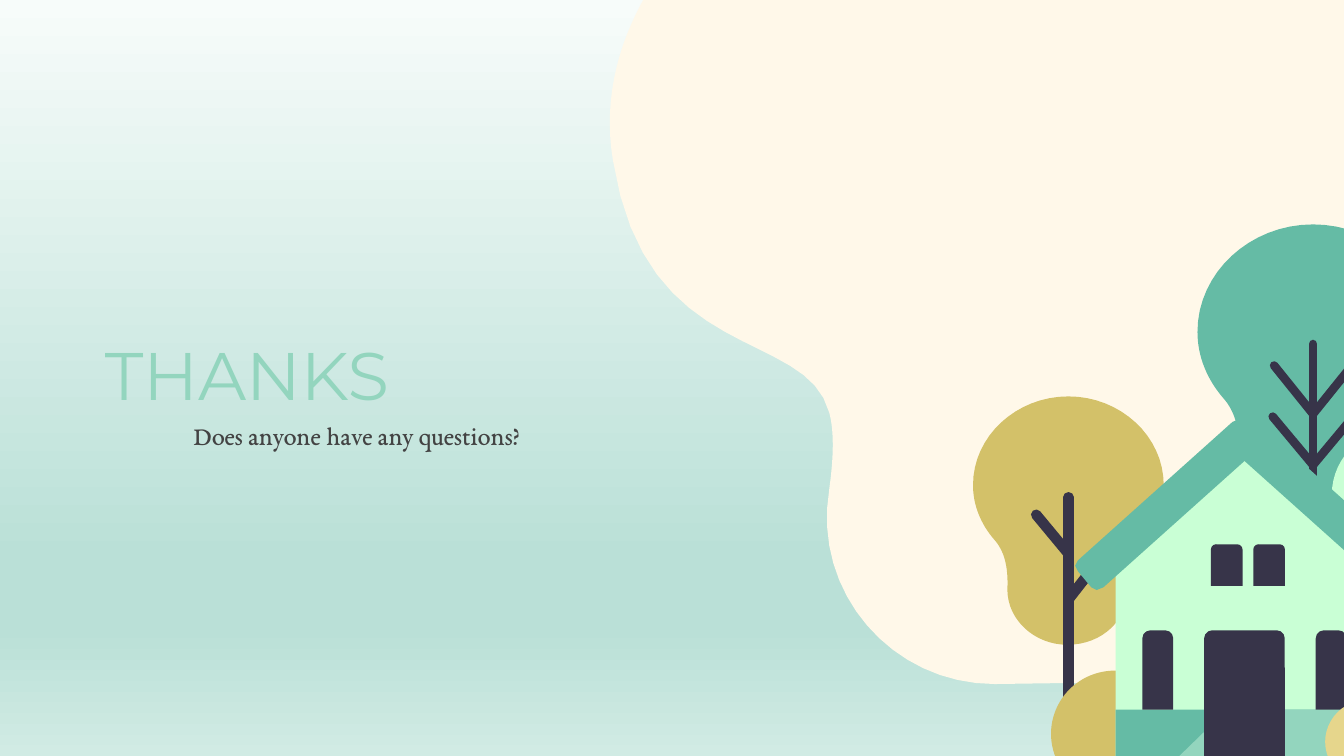
from dataclasses import dataclass

import lxml.etree
import pptx
import pptx.dml.color
import pptx.enum.shapes
import pptx.enum.text
import pptx.oxml.ns
import pptx.slide
import pptx.util

Pt = pptx.util.Pt
RGBColor = pptx.dml.color.RGBColor
Align = pptx.enum.text.PP_ALIGN
Anchor = pptx.enum.text.MSO_ANCHOR
Preset = pptx.enum.shapes.MSO_SHAPE
qn = pptx.oxml.ns.qn

CREAM = RGBColor(0xFF, 0xF8, 0xE9)
MUSTARD = RGBColor(0xD3, 0xC1, 0x69)
STRAW = RGBColor(0xE6, 0xD6, 0x8C)
NIGHT = RGBColor(0x37, 0x34, 0x49)
TEAL = RGBColor(0x65, 0xBB, 0xA5)
AQUA = RGBColor(0x93, 0xD5, 0xBE)
MINT = RGBColor(0xC9, 0xFF, 0xD5)
GREY = RGBColor(0x43, 0x43, 0x43)
SKY_EDGE = RGBColor(0xF7, 0xFC, 0xFA)
SKY_DEEP = RGBColor(0xBA, 0xE0, 0xD7)
SKY_LOW = RGBColor(0xD1, 0xEB, 0xE4)
SKY = [(0, SKY_EDGE), (74, SKY_DEEP), (83, SKY_DEEP), (100, SKY_LOW)]

GRID = Pt(0.72)  # the drawing uses a grid of 1000 by 562.5 units
CURVE_STEPS = 16
AXIS = 926  # middle of the house
Steps = list[tuple[float, ...]]


@dataclass
class Branch:
    """Reach is measured from the trunk, negative to the left."""
    reach: float
    tip: float
    joint: float


@dataclass
class Tree:
    left: float
    top: float
    scale: float
    color: RGBColor
    trunk: tuple[float, float, float] | None = None  # x, top, bottom
    thickness: float = 0
    branches: tuple[Branch, ...] = ()


@dataclass
class Block:
    preset: Preset
    left: float
    top: float
    width: float
    height: float
    color: RGBColor = NIGHT
    rounding: float | None = None


@dataclass
class TextSlot:
    words: str
    top: float
    left: float
    width: float
    anchor: Anchor
    align: Align
    font: str
    size: float
    color: RGBColor


# Outlines: a start, then lines (x, y) and Bezier curves (x1, y1, x2, y2, x, y)
BLOB = [(485, -11), (462, 26, 448, 70, 456, 119), (480, 273, 600, 243, 617, 307),
        (621, 322, 620, 342, 617, 364), (604, 441, 664, 509, 740, 509), (809, 508),
        (882, 510), (956, 517, 929, 631, 1071, 667), (1104, 667), (1104, -11)]
CROWN = [(86, 0), (39, 0, 0, 36, 0, 80), (0, 98, 7, 115, 19, 129),
         (28, 139, 32, 153, 31, 174), (31, 202, 56, 224, 85, 224),
         (117, 224, 140, 201, 140, 173), (140, 154, 144, 139, 154, 127),
         (166, 112, 172, 97, 172, 80), (172, 36, 133, 0, 86, 0)]
HALF_WALL = [(AXIS, 314), (830, 401), (830, 563)]
HALF_ROOF = [(AXIS, 310), (917, 314), (802, 417), (800, 421), (802, 425),
             (812, 437), (816, 439), (821, 437), (AXIS, 343)]
LIGHT_BASE = [(913, 528), (877, 563), (1022, 563), (1022, 528)]

TREES = [
    Tree(724, 295, 0.825, MUSTARD, (795, 370, 536), 5.6,
         (Branch(-24, 383, 412), Branch(25, 414, 446))),
    Tree(891, 167, 1, TEAL, (977, 256, 506), 4.6,
         tuple(Branch(side * reach, tip, tip + 36)
               for reach, tip in ((29, 272), (30, 310)) for side in (-1, 1))),
    Tree(991, 316, 0.65, MINT),
]

LEFT_BUSH = Block(Preset.OVAL, 782, 499, 95, 94, MUSTARD)
RIGHT_BUSH = Block(Preset.OVAL, 986, 521, 62, 62, STRAW)
BASE = Block(Preset.RECTANGLE, 830, 528, 192, 35, TEAL)
ARCH = Preset.ROUND_2_SAME_RECTANGLE
OPENINGS = [Block(ARCH, left, 469, 23, 59, rounding=0.26) for left in (850, 979)]
OPENINGS += [Block(ARCH, left, 405, 23.5, 31, rounding=0.16) for left in (901, 932.5)]
OPENINGS += [Block(ARCH, 896, 469, 60, 94, rounding=0.1)]

THANKS = TextSlot("THANKS", 176.4, 49, 281.5, Anchor.BOTTOM, Align.LEFT,
                  "Montserrat", 36, AQUA)
QUESTION = TextSlot("Does anyone have any questions?", 217.4, 0, 285.8, Anchor.TOP,
                    Align.RIGHT, "EB Garamond", 14, GREY)


def on_grid(*lengths: float) -> list[int]:
    return [round(length * GRID) for length in lengths]


def paint(shape, color: RGBColor) -> None:
    shape.shadow.inherit = False
    shape.fill.solid()
    shape.fill.fore_color.rgb = color
    shape.line.fill.background()


def trace(steps: Steps) -> Steps:
    """Turn lines and curves into points."""
    points = [steps[0]]
    for step in steps[1:]:
        if len(step) == 2:
            points.append(step)
            continue
        corners = (points[-1], step[:2], step[2:4], step[4:])
        for i in range(1, CURVE_STEPS + 1):
            t = i / CURVE_STEPS
            u = 1 - t
            points.append(tuple(
                u**3 * a + 3 * u * u * t * b + 3 * u * t * t * c + t**3 * d
                for a, b, c, d in zip(*corners)))
    return points


def draw_outline(slide: pptx.slide.Slide, steps: Steps, color: RGBColor) -> None:
    start, *rest = [tuple(on_grid(*point)) for point in trace(steps)]
    builder = slide.shapes.build_freeform(*start)
    builder.add_line_segments(rest, close=True)
    paint(builder.convert_to_shape(), color)


def mirrored(half: Steps) -> Steps:
    return half + [(2 * AXIS - x, y) for x, y in reversed(half)]


def draw_block(slide: pptx.slide.Slide, block: Block) -> None:
    shape = slide.shapes.add_shape(
        block.preset, *on_grid(block.left, block.top, block.width, block.height))
    if block.rounding is not None:
        shape.adjustments[0] = block.rounding
    paint(shape, block.color)


def draw_stick(slide: pptx.slide.Slide, ends: tuple[float, ...], thickness: float) -> None:
    stick = slide.shapes.add_connector(
        pptx.enum.shapes.MSO_CONNECTOR.STRAIGHT, *on_grid(*ends))
    stick.line.color.rgb = NIGHT
    stick.line.width = Pt(thickness)
    properties = stick.element.spPr
    properties.find(qn("a:ln")).set("cap", "rnd")
    lxml.etree.SubElement(properties, qn("a:effectLst"))


def draw_tree(slide: pptx.slide.Slide, tree: Tree) -> None:
    origin = (tree.left, tree.top)
    crown = [tuple(origin[i % 2] + tree.scale * value for i, value in enumerate(step))
             for step in CROWN]
    draw_outline(slide, crown, tree.color)
    if tree.trunk is None:
        return
    x, top, bottom = tree.trunk
    draw_stick(slide, (x, top, x, bottom), tree.thickness)
    for branch in tree.branches:
        draw_stick(slide, (x + branch.reach, branch.tip, x, branch.joint), tree.thickness)


def fill_slot(placeholder, slot: TextSlot) -> None:
    frame = placeholder.text_frame
    frame.text = slot.words
    line = frame.paragraphs[0]
    font = line.runs[0].font
    formats = [
        (placeholder, dict(left=Pt(slot.left), top=Pt(slot.top),
                           width=Pt(slot.width), height=Pt(52.6))),
        (frame, dict(word_wrap=True, vertical_anchor=slot.anchor,
                     auto_size=pptx.enum.text.MSO_AUTO_SIZE.NONE)),
        (frame, {f"margin_{side}": Pt(7.2) for side in ("left", "top", "right", "bottom")}),
        (line, dict(alignment=slot.align, space_before=Pt(0), line_spacing=1.0)),
        (font, dict(name=slot.font, size=Pt(slot.size), bold=False)),
    ]
    for target, values in formats:
        for name, value in values.items():
            setattr(target, name, value)
    font.color.rgb = slot.color


def paint_sky(slide: pptx.slide.Slide) -> None:
    fill = slide.background.fill
    fill.gradient()
    fill.gradient_angle = 270
    stops = slide.element.find(".//" + qn("a:gsLst"))
    for stop in list(stops):
        stops.remove(stop)
    for position, color in SKY:
        stop = lxml.etree.SubElement(stops, qn("a:gs"), pos=str(position * 1000))
        lxml.etree.SubElement(stop, qn("a:srgbClr"), val=str(color))


def main() -> None:
    deck = pptx.Presentation()
    deck.slide_width, deck.slide_height = Pt(720), Pt(405)
    slide = deck.slides.add_slide(deck.slide_layouts[0])
    # Background and text
    paint_sky(slide)
    draw_outline(slide, BLOB, CREAM)
    fill_slot(slide.shapes.title, THANKS)
    fill_slot(slide.placeholders[1], QUESTION)
    # Garden and house, from back to front
    for tree in TREES:
        draw_tree(slide, tree)
    draw_block(slide, LEFT_BUSH)
    draw_outline(slide, mirrored(HALF_WALL), MINT)
    draw_block(slide, BASE)
    draw_outline(slide, LIGHT_BASE, AQUA)
    draw_outline(slide, mirrored(HALF_ROOF), TEAL)
    for opening in OPENINGS:
        draw_block(slide, opening)
    draw_block(slide, RIGHT_BUSH)
    deck.save("out.pptx")


if __name__ == "__main__":
    main()
